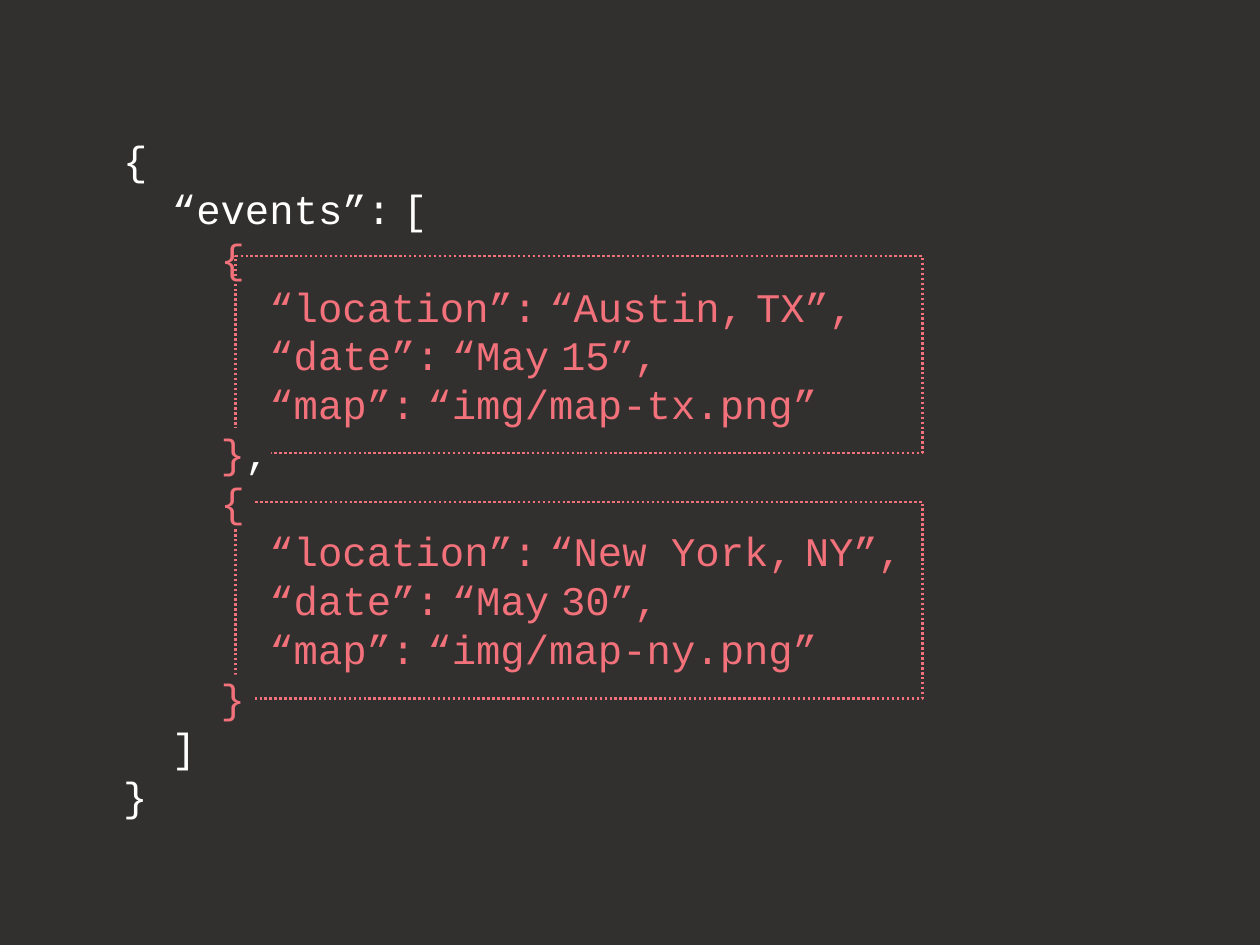
from pptx import Presentation
from pptx.dml.color import RGBColor
from pptx.enum.dml import MSO_LINE
from pptx.enum.shapes import MSO_SHAPE
from pptx.enum.text import MSO_ANCHOR
from pptx.util import Inches, Pt

COLORS = {"back": "32302E", "white": "FFFFFF", "pink": "F2717A"}
FONT = "Courier New"
SIZE, GAP, PITCH = 33, 16, 39.7

# Each line is a list of (colour, text); "~" stands for a narrow space
LINES = [
    [("white", "{")],
    [("white", "  “events”:~[")],
    [("pink", "    {")],
    [("pink", "      “location”:~“Austin,~TX”,")],
    [("pink", "      “date”:~“May~15”,")],
    [("pink", "      “map”:~“img/map-tx.png”")],
    [("pink", "    }"), ("white", ",")],
    [("pink", "    {")],
    [("pink", "      “location”:~“New York,~NY”,")],
    [("pink", "      “date”:~“May~30”,")],
    [("pink", "      “map”:~“img/map-ny.png”")],
    [("pink", "    }")],
    [("white", "  ]")],
    [("white", "}")],
]
FRAMES = [2.89, 5.66]                               # tops
MASKS = [(7.61, 0.42), (5.39, 0.42), (4.83, 0.62)]  # top, width


def color(name):
    return RGBColor.from_string(COLORS[name])


def add_rect(slide, left, top, width, height):
    rect = slide.shapes.add_shape(MSO_SHAPE.RECTANGLE, Inches(left), Inches(top),
                                  Inches(width), Inches(height))
    rect.shadow.inherit = False
    return rect


def add_run(para, text, size, name):
    run = para.add_run()
    run.text = text
    run.font.name = FONT
    run.font.size = Pt(size)
    run.font.color.rgb = color(name)


def main():
    deck = Presentation()
    deck.slide_width, deck.slide_height = Inches(14.22), Inches(10.66)
    slide = deck.slides.add_slide(deck.slide_layouts[6])
    slide.background.fill.solid()
    slide.background.fill.fore_color.rgb = color("back")

    # Dotted frames around the two events
    for top in FRAMES:
        frame = add_rect(slide, 2.66, top, 7.75, 2.22)
        frame.fill.background()
        frame.line.color.rgb = color("pink")
        frame.line.width = Pt(2)
        frame.line.dash_style = MSO_LINE.ROUND_DOT

    # Masks that clear the frames behind the braces
    for top, width in MASKS:
        mask = add_rect(slide, 2.44, top, width, 0.56)
        mask.fill.solid()
        mask.fill.fore_color.rgb = color("back")
        mask.line.fill.background()

    # Code
    box = slide.shapes.add_textbox(0, Inches(0.05), deck.slide_width, deck.slide_height)
    frame = box.text_frame
    frame.word_wrap = True
    frame.vertical_anchor = MSO_ANCHOR.MIDDLE
    frame.margin_left = frame.margin_right = Inches(1.39)
    frame.margin_top = frame.margin_bottom = Inches(1.39)
    for i, line in enumerate(LINES):
        para = frame.add_paragraph() if i else frame.paragraphs[0]
        para.line_spacing = Pt(PITCH)
        for name, text in line:
            for j, part in enumerate(text.split("~")):
                if j:
                    add_run(para, " ", GAP, name)
                add_run(para, part, SIZE, name)

    deck.save("out.pptx")


if __name__ == "__main__":
    main()
